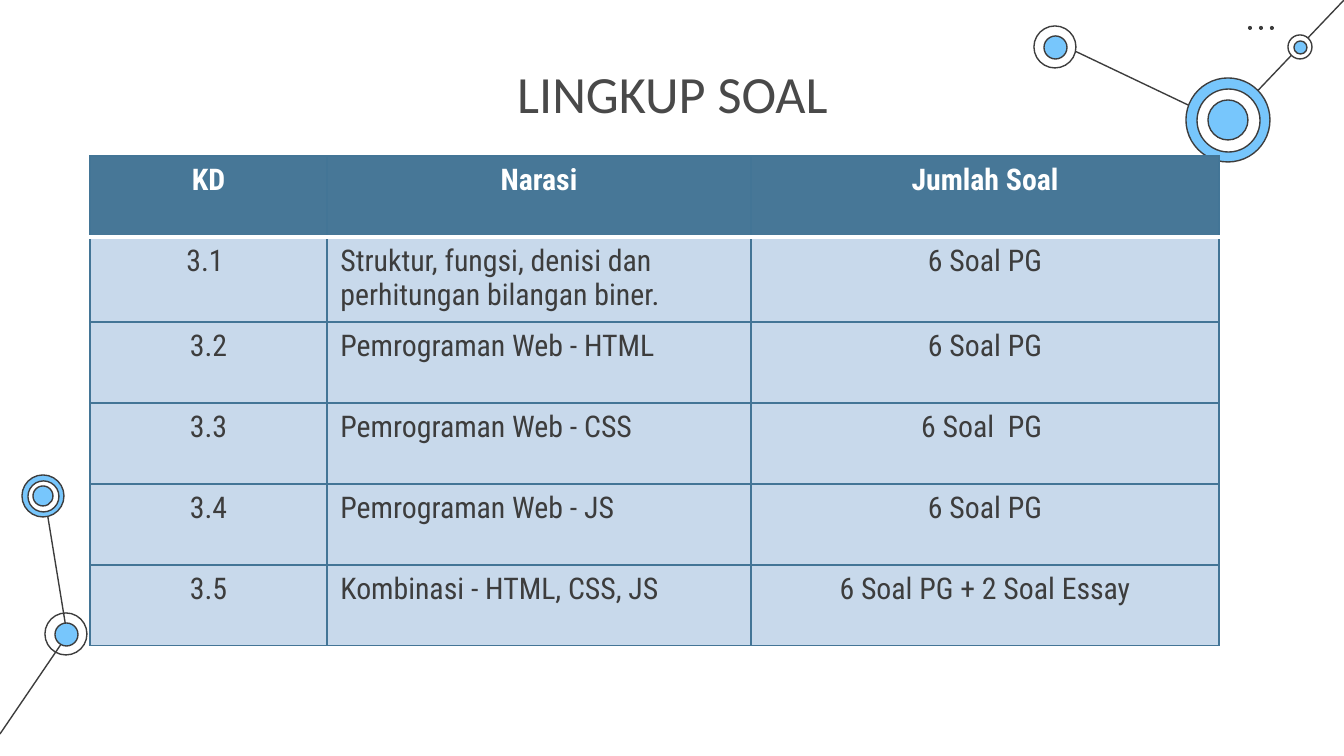
from dataclasses import dataclass
from typing import Optional

from lxml.etree import SubElement
from pptx import Presentation
from pptx.dml.color import RGBColor
from pptx.enum.shapes import MSO_CONNECTOR, MSO_SHAPE
from pptx.enum.text import MSO_ANCHOR, PP_ALIGN
from pptx.oxml import parse_xml
from pptx.oxml.ns import nsdecls, qn
from pptx.slide import Slide
from pptx.table import _Cell
from pptx.text.text import TextFrame
from pptx.util import Emu, Pt


@dataclass(frozen=True)
class Theme:
    ink: str = "3D3D3D"
    title: str = "494949"
    white: str = "FFFFFF"
    sky: str = "77C6FC"
    header: str = "477797"
    body: str = "C8D9EB"
    border: str = "437596"
    title_font: str = "Calibri"
    table_font: str = "Roboto Condensed"
    title_size: int = 28
    table_size: int = 16
    thin: float = 0.75
    thick: float = 2


@dataclass(frozen=True)
class Link:
    start_x: int
    start_y: int
    end_x: int
    end_y: int


@dataclass(frozen=True)
class Ring:
    diameter: int
    fill: Optional[str]


@dataclass(frozen=True)
class Node:
    center_x: int
    center_y: int
    rings: tuple[Ring, ...]


THEME = Theme()
SLIDE_WIDTH, SLIDE_HEIGHT = 1344, 756
PIXELS_PER_INCH = 134.4

LINKS = (
    Link(67, 634, 44, 493),
    Link(0, 734, 66, 637),
    Link(1228, 124, 1058, 43),
    Link(1344, 0, 1228, 122),
)
NODES = (
    Node(66, 634, (Ring(42, None), Ring(23, THEME.sky))),
    Node(43, 496, (Ring(42, THEME.sky), Ring(31, THEME.white), Ring(20, THEME.sky))),
    Node(1228, 120, (Ring(84, THEME.sky), Ring(63, THEME.white), Ring(40, THEME.sky))),
    Node(1055, 47, (Ring(42, THEME.white), Ring(23, THEME.sky))),
    Node(1300, 47, (Ring(24, THEME.white), Ring(13, THEME.sky))),
)
DOT_LEFT, DOT_TOP, DOT_SIZE, DOT_STEP = 1248, 26, 4, 11

TABLE_LEFT, TABLE_TOP, ROW_HEIGHT = 90, 156, 81
COLUMN_WIDTHS = (237, 424, 468)
ALIGNMENTS = (PP_ALIGN.CENTER, PP_ALIGN.LEFT, PP_ALIGN.CENTER)
ROWS = (
    ("KD", "Narasi", "Jumlah Soal"),
    ("3.1 ", "Struktur, fungsi, denisi dan perhitungan bilangan biner.", "6 Soal PG"),
    ("3.2", "Pemrograman Web - HTML", "6 Soal PG"),
    ("3.3", "Pemrograman Web - CSS", "6 Soal  PG "),
    ("3.4", "Pemrograman Web - JS", "6 Soal PG"),
    ("3.5", "Kombinasi - HTML, CSS, JS", "6 Soal PG + 2 Soal Essay"),
)


def px(length: int) -> Emu:
    return Emu(round(length * 914400 / PIXELS_PER_INCH))


def color(code: str) -> RGBColor:
    return RGBColor.from_string(code)


def write_text(frame: TextFrame, text: str, *, font: str, size: int, ink: str,
               alignment: PP_ALIGN, bold: bool = False) -> None:
    paragraph = frame.paragraphs[0]
    paragraph.alignment = alignment
    run = paragraph.add_run()
    run.text = text
    run.font.name = font
    run.font.size = Pt(size)
    run.font.bold = bold
    run.font.color.rgb = color(ink)


def draw_link(slide: Slide, link: Link) -> None:
    connector = slide.shapes.add_connector(
        MSO_CONNECTOR.STRAIGHT,
        px(link.start_x), px(link.start_y), px(link.end_x), px(link.end_y))
    connector.line.color.rgb = color(THEME.ink)
    connector.line.width = Pt(THEME.thin)
    SubElement(connector._element.spPr, qn("a:effectLst"))


def draw_circle(slide: Slide, left: int, top: int, diameter: int,
                fill: Optional[str], outlined: bool = True) -> None:
    shape = slide.shapes.add_shape(
        MSO_SHAPE.OVAL, px(left), px(top), px(diameter), px(diameter))
    shape.shadow.inherit = False
    if fill is None:
        shape.fill.background()
    else:
        shape.fill.solid()
        shape.fill.fore_color.rgb = color(fill)
    if outlined:
        shape.line.color.rgb = color(THEME.ink)
        shape.line.width = Pt(THEME.thin)
    else:
        shape.line.fill.background()


def draw_node(slide: Slide, node: Node) -> None:
    for ring in node.rings:
        radius = ring.diameter // 2
        draw_circle(slide, node.center_x - radius, node.center_y - radius,
                    ring.diameter, ring.fill)


def draw_title(slide: Slide, text: str) -> None:
    frame = slide.shapes.add_textbox(px(372), px(50), px(601), px(85)).text_frame
    frame.word_wrap = True
    frame.vertical_anchor = MSO_ANCHOR.MIDDLE
    write_text(frame, text, font=THEME.title_font, size=THEME.title_size,
               ink=THEME.title, alignment=PP_ALIGN.CENTER)


def set_borders(cell: _Cell, row: int) -> None:
    thin, thick = (THEME.border, THEME.thin), (THEME.white, THEME.thick)
    borders = {
        "lnL": thin,
        "lnR": thin,
        "lnT": thick if row == 1 else thin,
        "lnB": thick if row == 0 else thin,
    }
    properties = cell._tc.get_or_add_tcPr()
    for position, (side, (ink, width)) in enumerate(borders.items()):
        properties.insert(position, parse_xml(
            f'<a:{side} {nsdecls("a")} w="{Pt(width)}"><a:solidFill>'
            f'<a:srgbClr val="{ink}"/></a:solidFill></a:{side}>'))


def draw_table(slide: Slide) -> None:
    table = slide.shapes.add_table(
        len(ROWS), len(COLUMN_WIDTHS), px(TABLE_LEFT), px(TABLE_TOP),
        px(sum(COLUMN_WIDTHS)), px(ROW_HEIGHT * len(ROWS))).table
    table.horz_banding = False
    for column, width in zip(table.columns, COLUMN_WIDTHS):
        column.width = px(width)
    for row, texts in enumerate(ROWS):
        is_header = row == 0
        table.rows[row].height = px(ROW_HEIGHT)
        for column, text in enumerate(texts):
            cell = table.cell(row, column)
            cell.fill.solid()
            cell.fill.fore_color.rgb = color(THEME.header if is_header else THEME.body)
            set_borders(cell, row)
            write_text(cell.text_frame, text, font=THEME.table_font,
                       size=THEME.table_size,
                       ink=THEME.white if is_header else THEME.ink,
                       alignment=PP_ALIGN.CENTER if is_header else ALIGNMENTS[column],
                       bold=is_header)


def main() -> None:
    presentation = Presentation()
    presentation.slide_width = px(SLIDE_WIDTH)
    presentation.slide_height = px(SLIDE_HEIGHT)
    slide = presentation.slides.add_slide(presentation.slide_layouts[6])
    for link in LINKS:
        draw_link(slide, link)
    for node in NODES:
        draw_node(slide, node)
    for index in range(3):
        draw_circle(slide, DOT_LEFT + index * DOT_STEP, DOT_TOP, DOT_SIZE,
                    THEME.ink, outlined=False)
    draw_title(slide, "LINGKUP SOAL")
    draw_table(slide)
    presentation.save("out.pptx")


if __name__ == "__main__":
    main()
